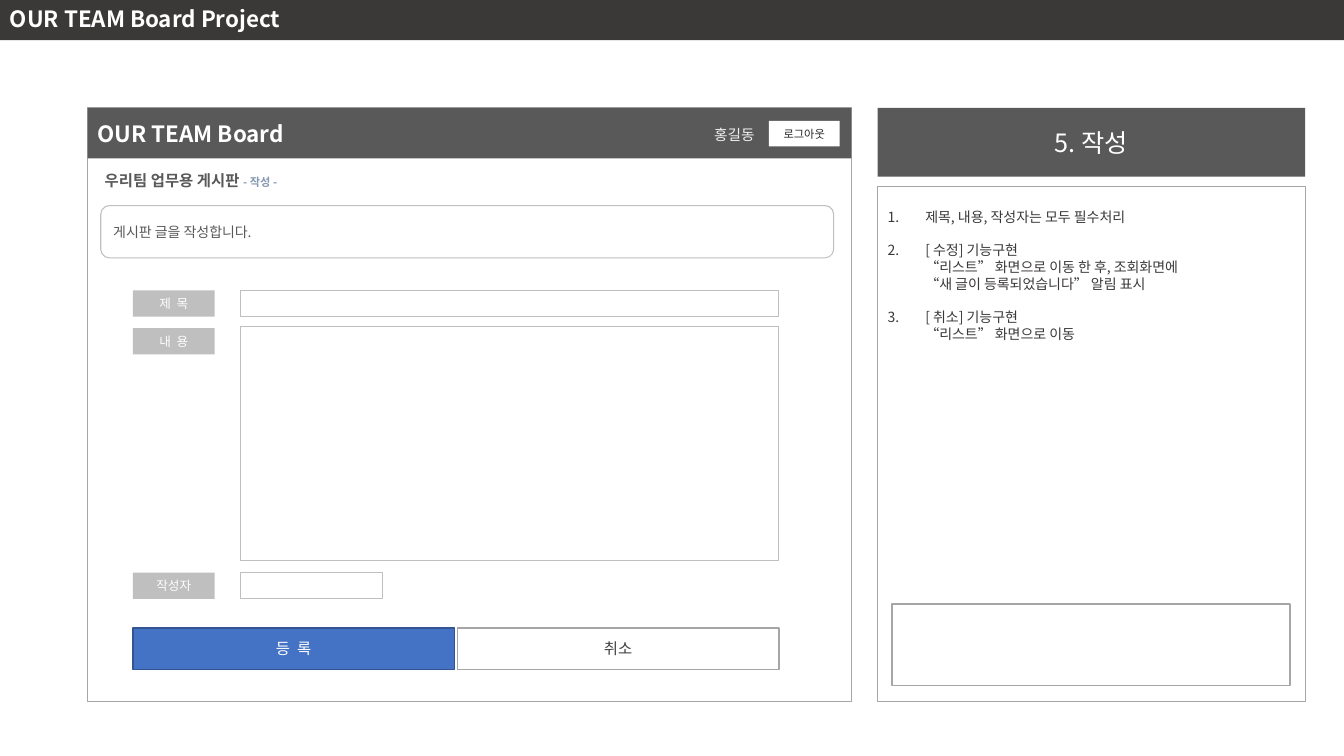
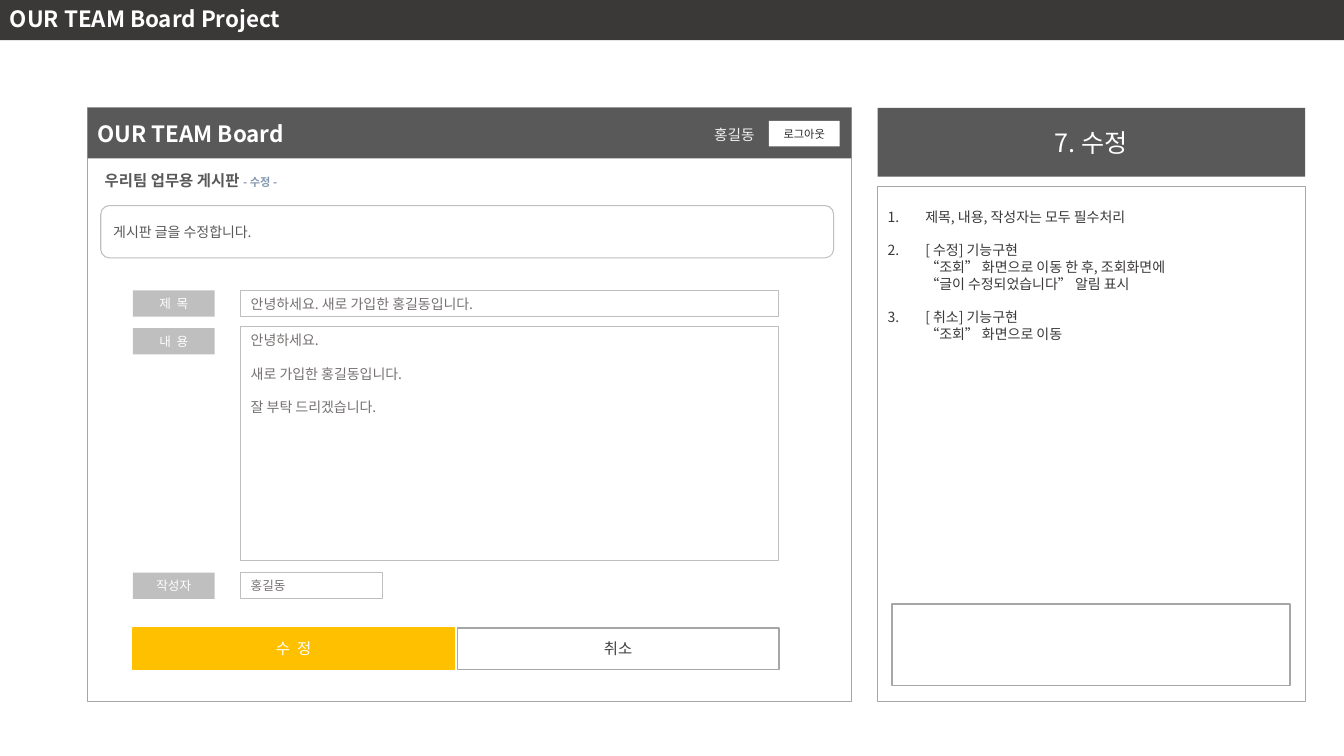
from lxml.etree import SubElement
from pptx import Presentation
from pptx.dml.color import RGBColor
from pptx.enum.shapes import MSO_SHAPE
from pptx.enum.text import MSO_ANCHOR, MSO_AUTO_SIZE, PP_ALIGN
from pptx.oxml.ns import qn
from pptx.util import Cm, Pt

FONT = "Noto Sans CJK KR"
WHITE = RGBColor(0xFF, 0xFF, 0xFF)
PALE = RGBColor(0xF2, 0xF2, 0xF2)
SILVER = RGBColor(0xBF, 0xBF, 0xBF)
GRAY = RGBColor(0xA6, 0xA6, 0xA6)
STONE = RGBColor(0x76, 0x71, 0x71)
SLATE = RGBColor(0x59, 0x59, 0x59)
DARK = RGBColor(0x40, 0x40, 0x40)
BLACK = RGBColor(0x26, 0x26, 0x26)
BROWN = RGBColor(0x3B, 0x38, 0x38)
STEEL = RGBColor(0x84, 0x97, 0xB0)
BLUE = RGBColor(0x44, 0x72, 0xC4)
NAVY = RGBColor(0x32, 0x54, 0x91)
AMBER = RGBColor(0xFF, 0xC0, 0x00)

LEFT, MID = PP_ALIGN.LEFT, PP_ALIGN.CENTER
WIDE, HIGH = 33.87, 19.05
MOCK = (2.21, 2.72, 19.25, 14.96)
PANEL = (22.12, 2.72, 10.77, 14.96)

# Each page: heading, action, button and its colours, field values, notes
PAGES = [
    dict(head="5. 작성", act="작성", button="등  록", fill=BLUE, line=NAVY,
         values=["", "", ""],
         notes=["제목, 내용, 작성자는 모두 필수처리",
                "[ 수정] 기능구현\v“리스트” 화면으로 이동 한 후, 조회화면에 "
                "\v“새 글이 등록되었습니다” 알림 표시",
                "[ 취소] 기능구현\v“리스트” 화면으로 이동"]),
    dict(head="7. 수정", act="수정", button="수  정", fill=AMBER, line=AMBER,
         values=["안녕하세요. 새로 가입한 홍길동입니다.",
                 "안녕하세요.\n새로 가입한 홍길동입니다.\n잘 부탁 드리겠습니다.",
                 "홍길동"],
         notes=["제목, 내용, 작성자는 모두 필수처리",
                "[ 수정] 기능구현\v“조회” 화면으로 이동 한 후, 조회화면에 "
                "\v“글이 수정되었습니다” 알림 표시",
                "[ 취소] 기능구현\v“조회” 화면으로 이동"]),
]


def style(run, size, color, bold=False):
    font = run.font
    font.size, font.bold, font.name = Pt(size), bold, FONT
    font.color.rgb = color
    SubElement(run._r.get_or_add_rPr(), qn("a:ea"), typeface=FONT)


def write(shape, text, size, color, bold=False, align=LEFT,
          anchor=MSO_ANCHOR.MIDDLE):
    frame = shape.text_frame
    frame.text = text
    frame.word_wrap = True
    frame.auto_size = MSO_AUTO_SIZE.NONE
    frame.vertical_anchor = anchor
    for para in frame.paragraphs:
        para.alignment = align
        for run in para.runs:
            style(run, size, color, bold)
    return frame


def space(frame):
    """Set a fixed line pitch and one free line between paragraphs."""
    for i, para in enumerate(frame.paragraphs):
        para.line_spacing = Pt(12)
        para.space_before = Pt(12 if i else 0)


def paint(shape, fill=None, line=None, width=0.75):
    if fill is None:
        shape.fill.background()
    else:
        shape.fill.solid()
        shape.fill.fore_color.rgb = fill
    if line is None:
        shape.line.fill.background()
    else:
        shape.line.color.rgb = line
        shape.line.width = Pt(width)


def block(slide, x, y, w, h, fill=None, line=None, width=0.75,
          kind=MSO_SHAPE.RECTANGLE):
    shape = slide.shapes.add_shape(kind, Cm(x), Cm(y), Cm(w), Cm(h))
    shape.shadow.inherit = False
    paint(shape, fill, line, width)
    return shape


def label(slide, x, y, w, h, text, size, color, bold=False):
    box = slide.shapes.add_textbox(Cm(x), Cm(y), Cm(w), Cm(h))
    return write(box, text, size, color, bold)


def add_band(slide):
    band = block(slide, 0, -0.08, WIDE, 1.09, BROWN)
    write(band, "OUR TEAM Board Project", 16, WHITE, True)


def add_head(slide, box, act):
    x, y, w, h = box
    block(slide, x, y, w, h, WHITE, GRAY)
    # Site bar with user and logout
    bar = block(slide, x, y, w, 1.27, SLATE)
    write(bar, "OUR TEAM Board", 16, WHITE, True)
    out = block(slide, x + 17.17, y + 0.33, 1.78, 0.64, WHITE)
    write(out, "로그아웃", 8, BLACK, align=MID)
    label(slide, x + 15.54, y + 0.3, 1.85, 0.74, "홍길동", 10.5, PALE)
    # Board name and hint
    name = label(slide, x + 0.18, y + 1.45, 6.35, 0.74,
                 "우리팀 업무용 게시판 ", 11, SLATE, True)
    run = name.paragraphs[0].add_run()
    run.text = f"- {act} -"
    style(run, 8, STEEL, True)
    hint = block(slide, x + 0.33, y + 2.46, 18.47, 1.32, WHITE, SILVER,
                 kind=MSO_SHAPE.ROUNDED_RECTANGLE)
    write(hint, f"게시판 글을 {act}합니다.", 10, SLATE)


def add_form(slide, box, page):
    x, y = box[0] + 1.14, box[1]
    # Rows: caption, caption top, field top, width, height, text size
    rows = [("제  목", 4.6, 4.6, 13.56, 0.66, 10),
            ("내  용", 5.55, 5.51, 13.56, 5.89, 10),
            ("작성자", 11.71, 11.71, 3.56, 0.66, 9)]
    for (name, top, down, w, h, size), value in zip(rows, page["values"]):
        tag = block(slide, x, y + top, 2.06, 0.66, SILVER)
        write(tag, name, 9, WHITE, align=MID)
        field = block(slide, x + 2.72, y + down, w, h, WHITE, SILVER)
        if value:
            tall = h > 1
            anchor = MSO_ANCHOR.TOP if tall else MSO_ANCHOR.MIDDLE
            frame = write(field, value, size, STONE, anchor=anchor)
            if tall:
                space(frame)
    # Buttons
    keys = [(page["button"], page["fill"], page["line"], WHITE),
            ("취소", None, GRAY, DARK)]
    for i, (name, fill, line, ink) in enumerate(keys):
        key = block(slide, x + i * 8.18, y + 13.11, 8.1, 1.04, fill, line, 1)
        write(key, name, 11, ink, align=MID)


def add_panel(slide, box, page):
    x, y, w, h = box
    # Heading
    title = slide.shapes.title
    title.left, title.top = Cm(x), Cm(y)
    title.width, title.height = Cm(w), Cm(1.73)
    paint(title, SLATE)
    write(title, page["head"], 18, WHITE, align=MID)
    # Numbered notes
    card = block(slide, x, y + 1.98, w, h - 1.98, WHITE, GRAY, 0.5)
    frame = write(card, "\n".join(page["notes"]), 10, BROWN,
                  anchor=MSO_ANCHOR.TOP)
    frame.margin_top = Cm(0.55)
    space(frame)
    for para in frame.paragraphs:
        props = para._p.get_or_add_pPr()
        props.set("marL", str(Cm(0.95)))
        props.set("indent", str(Cm(-0.95)))
        SubElement(props, qn("a:buFont"), typeface=FONT)
        SubElement(props, qn("a:buAutoNum"), type="arabicPeriod")
    # Remark box
    block(slide, x + 0.36, y + 12.5, 10.03, 2.06, WHITE, GRAY, 1)


def main():
    deck = Presentation()
    deck.slide_width, deck.slide_height = Cm(WIDE), Cm(HIGH)
    for page in PAGES:
        slide = deck.slides.add_slide(deck.slide_layouts[5])
        add_band(slide)
        add_head(slide, MOCK, page["act"])
        add_form(slide, MOCK, page)
        add_panel(slide, PANEL, page)
    deck.save("out.pptx")


if __name__ == "__main__":
    main()
